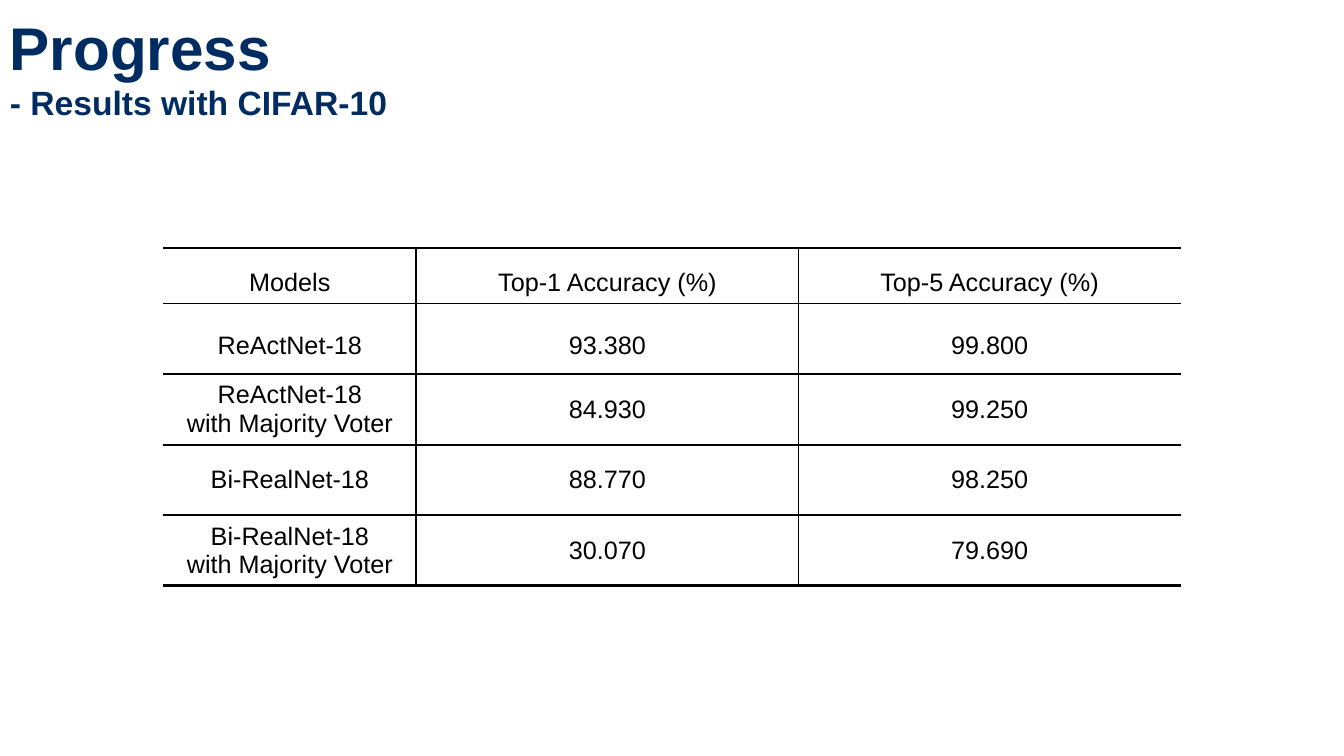
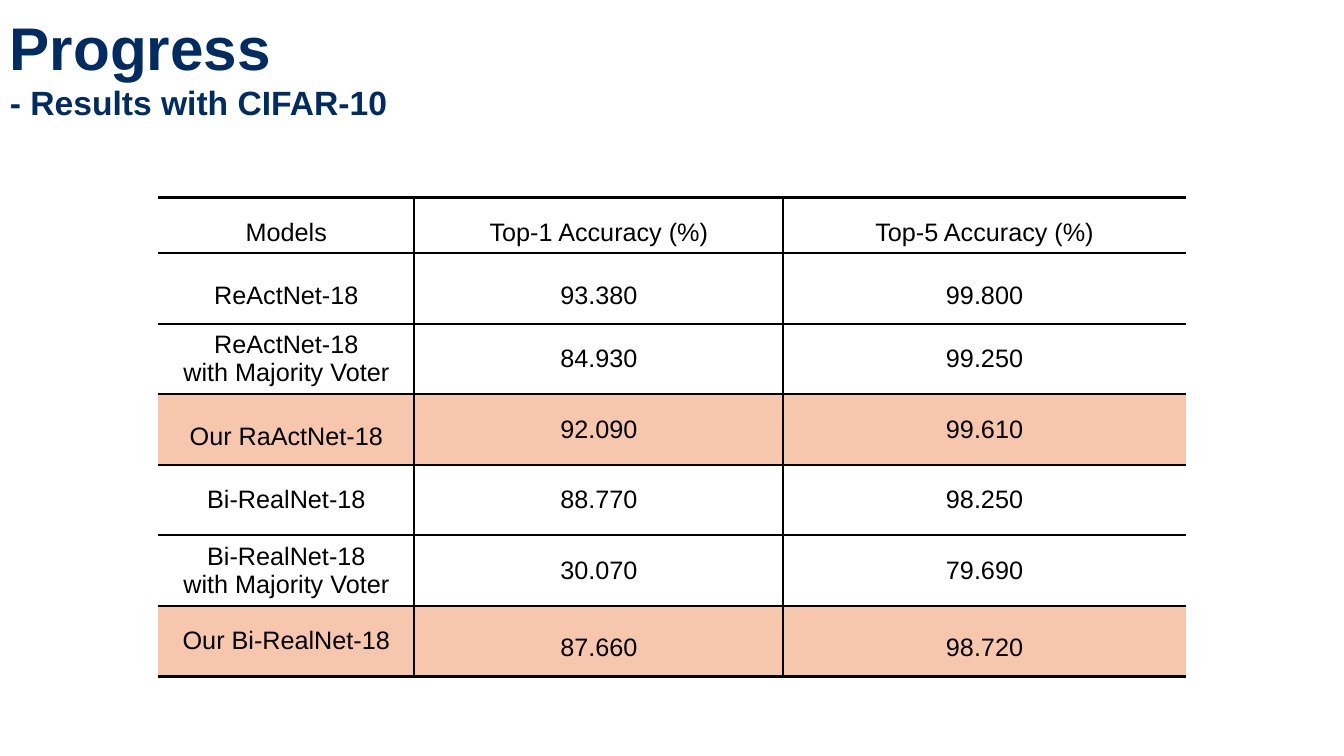
import dataclasses

import lxml.etree
import pptx
import pptx.dml.color
import pptx.enum.text
import pptx.oxml.ns
import pptx.slide
import pptx.table
import pptx.text.text
import pptx.util

RGB = pptx.dml.color.RGBColor
NAVY = RGB(0x00, 0x2C, 0x62)
BLACK = RGB(0x00, 0x00, 0x00)
PEACH = RGB(0xF6, 0xC6, 0xAD)
FONT = "Arial"
MIDDLE = pptx.enum.text.MSO_ANCHOR.MIDDLE
CENTER = pptx.enum.text.PP_ALIGN.CENTER

SCALE = 9144  # EMU in one px, 100 px to the inch
WIDE, HIGH = 1333, 750
THIN, THICK = 1.5, 2.25  # rule widths in points
ALL = (0, 1, 2)


@dataclasses.dataclass(frozen=True)
class Row:
    texts: tuple[str, str, str]
    loose: tuple[int, ...] = ()  # columns with 1.5 line spacing
    marked: bool = False
    height: int = 70


@dataclasses.dataclass(frozen=True)
class Grid:
    left: int
    top: int
    widths: tuple[int, int, int]
    rows: tuple[Row, ...]


# Results
HEAD = Row(("Models", "Top-1 Accuracy (%)", "Top-5 Accuracy (%)"), ALL, height=37)
REACT = (
    Row(("ReActNet-18", "93.380", "99.800"), ALL),
    Row(("ReActNet-18\nwith Majority Voter", "84.930", "99.250")),
)
REAL = (
    Row(("Bi-RealNet-18", "88.770", "98.250")),
    Row(("Bi-RealNet-18\nwith Majority Voter", "30.070", "79.690")),
)
OUR_REACT = Row(("Our RaActNet-18", "92.090", "99.610"), (0,), True)
OUR_REAL = Row(("Our Bi-RealNet-18", "87.660", "98.720"), (1, 2), True)

GRIDS = (
    Grid(162, 246, (251, 379, 379), (HEAD, *REACT, *REAL)),
    Grid(157, 196, (254, 366, 399), (HEAD, *REACT, OUR_REACT, *REAL, OUR_REAL)),
)


def px(count: int) -> pptx.util.Emu:
    return pptx.util.Emu(count * SCALE)


def style(par: pptx.text.text._Paragraph, size: int, color: RGB, bold: bool = False) -> None:
    font = par.font
    font.name, font.size, font.bold = FONT, pptx.util.Pt(size), bold
    font.color.rgb = color


def add_title(slide: pptx.slide.Slide) -> None:
    box = slide.shapes.add_textbox(0, 0, px(WIDE), px(122))
    frame = box.text_frame
    frame.word_wrap = True
    frame.vertical_anchor = MIDDLE
    frame.margin_top = px(14)
    frame.text = "Progress\n- Results with CIFAR-10"
    for par, size in zip(frame.paragraphs, (43, 24)):
        style(par, size, NAVY, True)


def rule_cell(cell: pptx.table._Cell, edges: dict[str, float]) -> None:
    """Draw the cell's edges; a width of zero hides the edge."""
    props = cell._tc.get_or_add_tcPr()
    qn = pptx.oxml.ns.qn
    for place, (side, width) in enumerate(edges.items()):
        line = lxml.etree.Element(qn(f"a:ln{side}"), w=str(int(pptx.util.Pt(width))))
        if width:
            fill = lxml.etree.SubElement(line, qn("a:solidFill"))
            lxml.etree.SubElement(fill, qn("a:srgbClr"), val=str(BLACK))
        else:
            lxml.etree.SubElement(line, qn("a:noFill"))
        props.insert(place, line)


def fill_cell(cell: pptx.table._Cell, row: Row, col: int) -> None:
    if row.marked:
        cell.fill.solid()
        cell.fill.fore_color.rgb = PEACH
    else:
        cell.fill.background()
    cell.vertical_anchor = MIDDLE
    cell.text = row.texts[col]
    for par in cell.text_frame.paragraphs:
        par.alignment = CENTER
        if col in row.loose:
            par.line_spacing = 1.5
        style(par, 18, BLACK)


def add_grid(slide: pptx.slide.Slide, grid: Grid) -> None:
    rows, widths = grid.rows, grid.widths
    table = slide.shapes.add_table(
        len(rows), len(widths), px(grid.left), px(grid.top),
        px(sum(widths)), px(sum(row.height for row in rows)),
    ).table
    table.first_row = table.horz_banding = False
    for col, width in enumerate(widths):
        table.columns[col].width = px(width)
    for num, row in enumerate(rows):
        table.rows[num].height = px(row.height)
        for col in range(len(widths)):
            cell = table.cell(num, col)
            fill_cell(cell, row, col)
            # Open sides, heavier rules at the top and bottom
            rule_cell(cell, {
                "L": THIN if col > 0 else 0,
                "R": THIN if col < len(widths) - 1 else 0,
                "T": THIN if num > 0 else THICK,
                "B": THIN if num < len(rows) - 1 else THICK,
            })


def main() -> None:
    deck = pptx.Presentation()
    deck.slide_width, deck.slide_height = px(WIDE), px(HIGH)
    blank = deck.slide_layouts[6]
    for grid in GRIDS:
        slide = deck.slides.add_slide(blank)
        add_title(slide)
        add_grid(slide, grid)
    deck.save("out.pptx")


if __name__ == "__main__":
    main()
